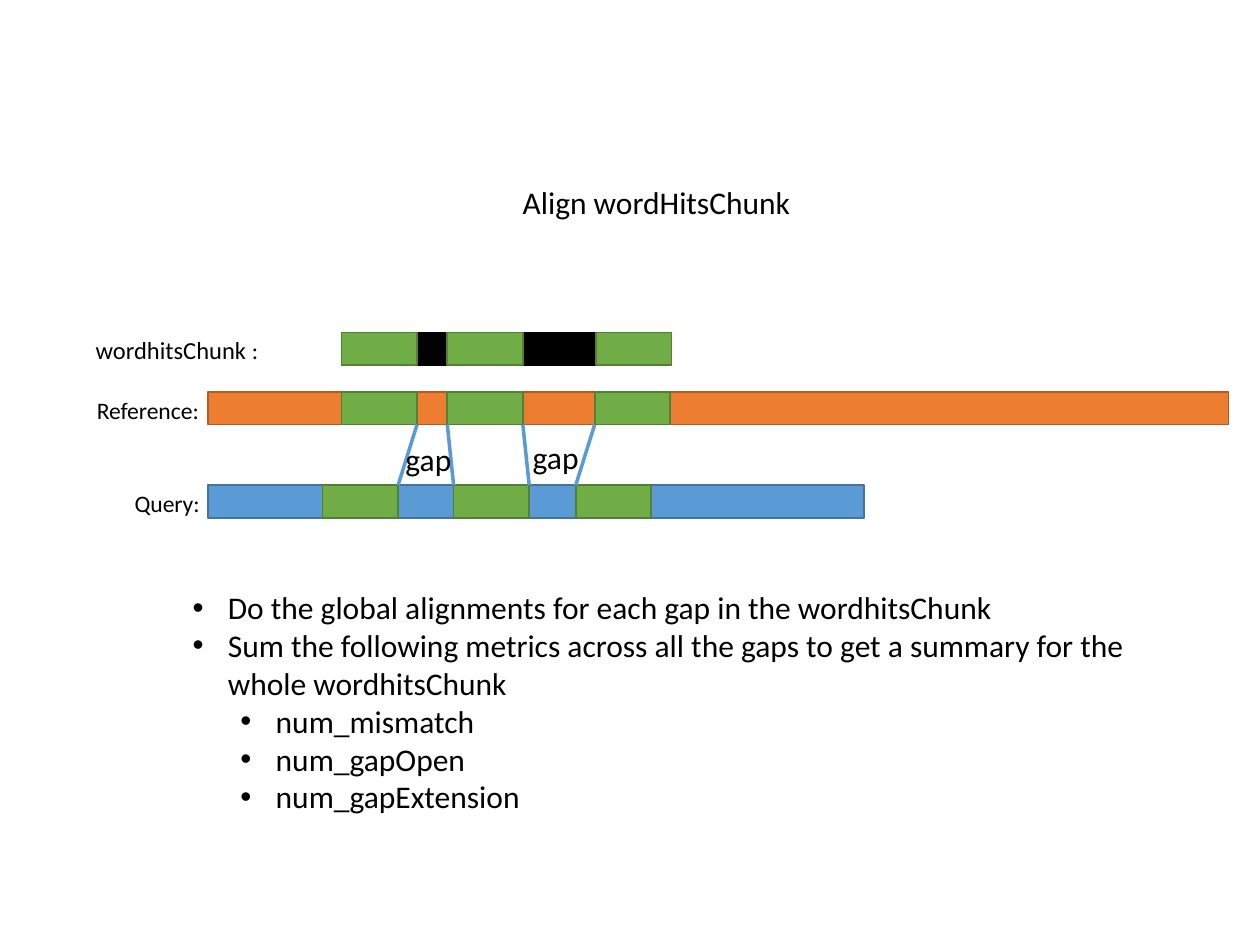
import pptx
from pptx.util import Inches, Pt
from pptx.dml.color import RGBColor
from pptx.enum.shapes import MSO_SHAPE, MSO_CONNECTOR
from pptx.enum.text import MSO_AUTO_SIZE
from lxml import etree

COLORS = {
    "text": "000000", "chunk": "000000", "chunk_line": "000000",
    "reference": "ED7D31", "reference_line": "AF5C24",
    "query": "5B9BD5", "query_line": "43739E",
    "hit": "70AD47", "hit_line": "538035",
}
BAR_H, HIT_W = 0.26, 0.6
# color, left, top, width, left edges of the word hits
TRACKS = [
    ("reference", 1.65, 3.11, 8.1, (2.71, 3.55, 4.72)),
    ("query", 1.65, 3.85, 5.21, (2.56, 3.6, 4.57)),
    ("chunk", 2.71, 2.64, 2.61, (2.71, 3.55, 4.73)),
]
# runs of (text, size), left, top, width, height
LABELS = [
    ([("Align wordHitsChunk", 18)], 4.05, 1.4, 2.35, 0.4),
    ([("Reference:", 13.5)], 0.67, 3.09, 1.03, 0.33),
    ([("Query:", 13.5)], 0.97, 3.83, 0.73, 0.33),
    ([("wordhitsChunk ", 14), (":", 13.5)], 0.66, 2.61, 1.51, 0.34),
    ([("gap", 18)], 3.12, 3.44, 0.57, 0.4),
    ([("gap", 18)], 4.13, 3.43, 0.57, 0.4),
]
# level, text
STEPS = [
    (0, "Do the global alignments for each gap in the wordhitsChunk"),
    (0, "Sum the following metrics across all the gaps to get a summary "
        "for the whole wordhitsChunk"),
    (1, "num_mismatch"),
    (1, "num_gapOpen"),
    (1, "num_gapExtension"),
]
INDENTS = (0.28, 0.66)


def rgb(name):
    """Return the named color."""
    return RGBColor.from_string(COLORS[name])


def add_bar(s, color, x, y, w):
    """Add one outlined bar."""
    sp = s.shapes.add_shape(MSO_SHAPE.RECTANGLE, Inches(x), Inches(y),
                            Inches(w), Inches(BAR_H))
    sp.shadow.inherit = False
    sp.fill.solid()
    sp.fill.fore_color.rgb = rgb(color)
    sp.line.color.rgb = rgb(color + "_line")
    sp.line.width = Pt(1)


def add_edge(s, x1, y1, x2, y2):
    """Add a line joining a gap edge on the two sequences."""
    cx = s.shapes.add_connector(MSO_CONNECTOR.STRAIGHT, Inches(x1), Inches(y1),
                                Inches(x2), Inches(y2))
    cx.line.color.rgb = rgb("query")
    cx.line.width = Pt(2)
    etree.SubElement(cx._element.spPr, pptx.oxml.ns.qn("a:effectLst"))


def add_text(p, text, size=18, color="text", font="Calibri"):
    """Add a formatted run to a paragraph."""
    r = p.add_run()
    r.text = text
    r.font.size = Pt(size)
    r.font.name = font
    r.font.color.rgb = rgb(color)


def add_box(s, x, y, w, h, wrap=False):
    """Add a text box and return its text frame."""
    tf = s.shapes.add_textbox(*map(Inches, (x, y, w, h))).text_frame
    tf.word_wrap = wrap
    tf.auto_size = MSO_AUTO_SIZE.SHAPE_TO_FIT_TEXT
    return tf


def set_bullet(p, level):
    """Give a paragraph its level, hanging indent and bullet."""
    p.level = level
    pPr = p._p.get_or_add_pPr()
    pPr.set("marL", str(Inches(INDENTS[level])))
    pPr.set("indent", str(-Inches(0.28)))
    etree.SubElement(pPr, pptx.oxml.ns.qn("a:buFont"), typeface="Arial")
    etree.SubElement(pPr, pptx.oxml.ns.qn("a:buChar"), char="\u2022")


def gap_edges(hits):
    """Return the x of both edges of every gap between hits."""
    return [x for a, b in zip(hits, hits[1:]) for x in (a + HIT_W, b)]


prs = pptx.Presentation()
prs.slide_width, prs.slide_height = Inches(10), Inches(7.5)
s = prs.slides.add_slide(prs.slide_layouts[6])

for color, x, y, w, hits in TRACKS:
    add_bar(s, color, x, y, w)
    for hit in hits:
        add_bar(s, "hit", hit, y, HIT_W)

reference, query = TRACKS[:2]
for x1, x2 in zip(gap_edges(reference[4]), gap_edges(query[4])):
    add_edge(s, x1, reference[2] + BAR_H, x2, query[2])

for runs, *box in LABELS:
    p = add_box(s, *box).paragraphs[0]
    for text, size in runs:
        add_text(p, text, size=size)

tf = add_box(s, 1.43, 4.62, 8.19, 1.92, wrap=True)
for i, (level, text) in enumerate(STEPS):
    p = tf.add_paragraph() if i else tf.paragraphs[0]
    set_bullet(p, level)
    add_text(p, text)

prs.save("out.pptx")
